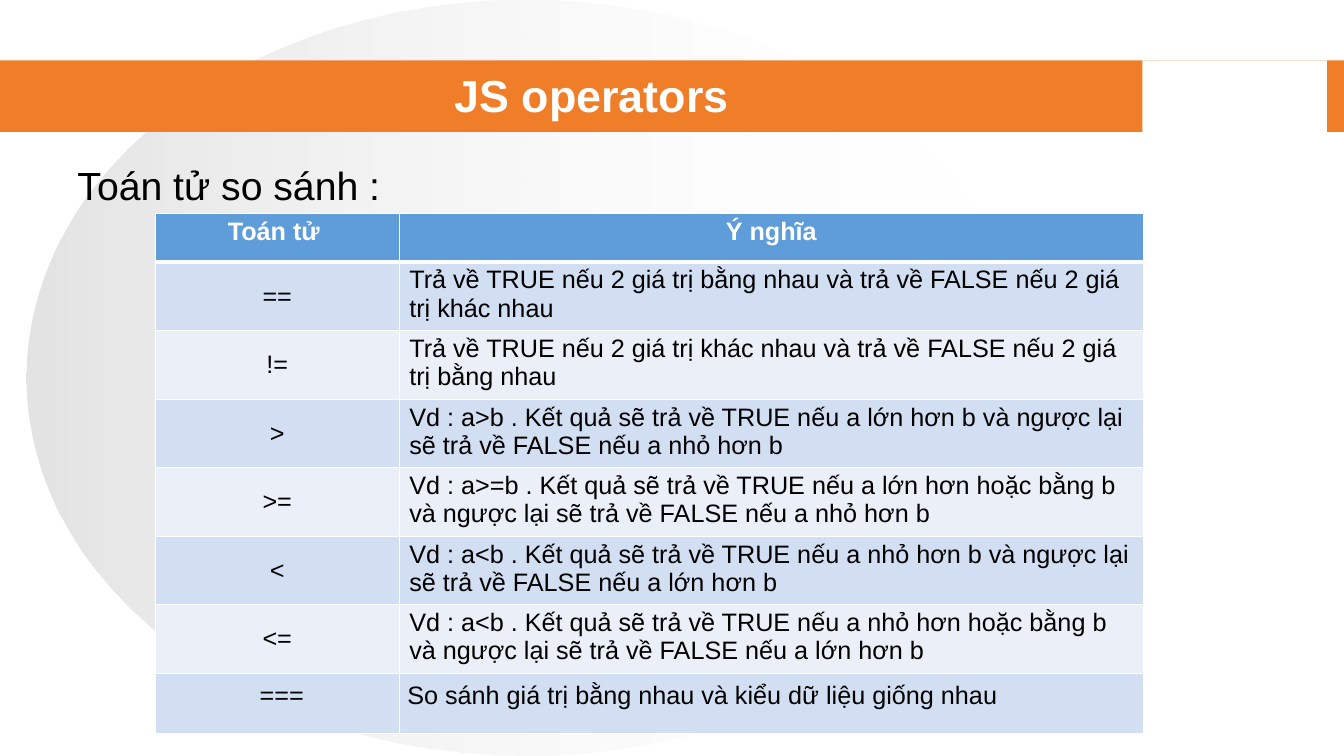
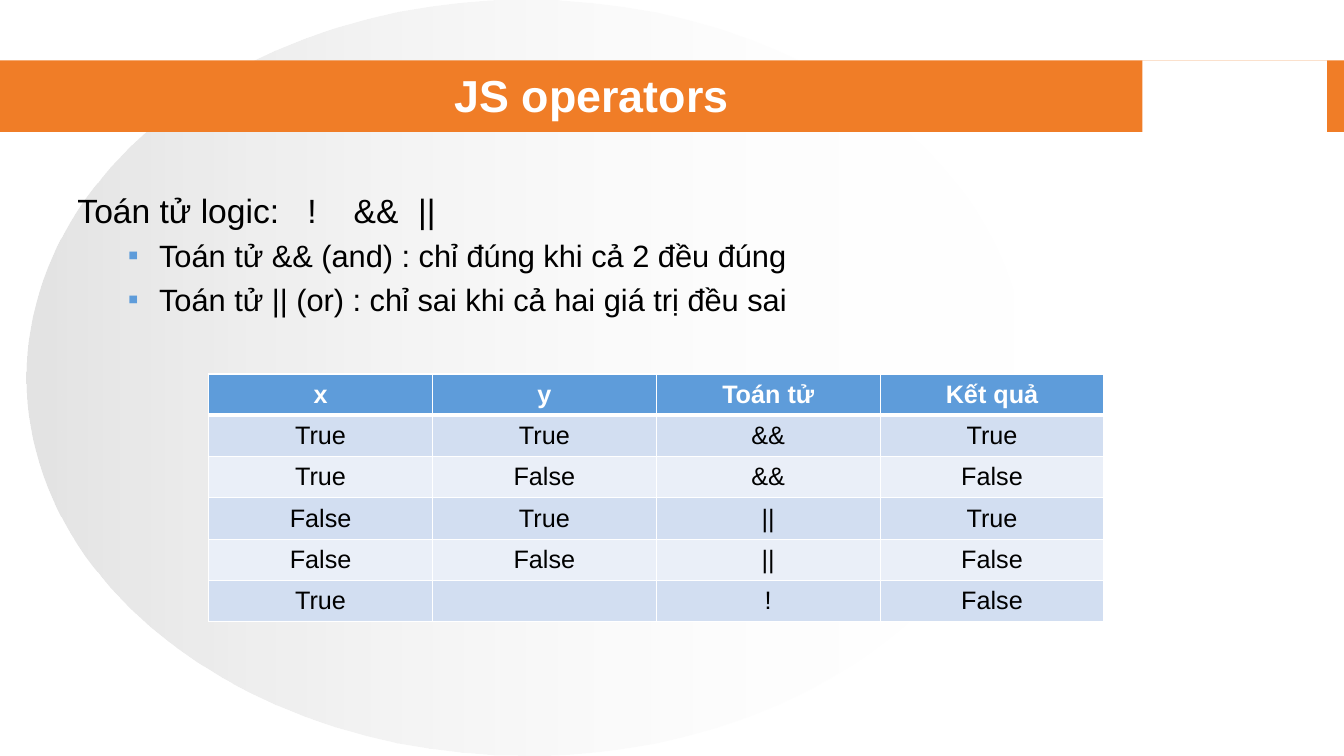
from lxml import etree
from pptx import Presentation
from pptx.dml.color import RGBColor
from pptx.enum.shapes import MSO_SHAPE
from pptx.enum.text import MSO_ANCHOR, MSO_AUTO_SIZE, PP_ALIGN
from pptx.oxml.ns import qn
from pptx.util import Pt

PX = 9144
FONT = "Arial"
WHITE, BLACK, ORANGE = "FFFFFF", "000000", "F07D27"
BLUE, BAND_DARK, BAND_LIGHT = "5E9CDA", "D2DEF1", "EAEFF8"
GREY = "C0C0C0"
OVAL, RECT = MSO_SHAPE.OVAL, MSO_SHAPE.RECTANGLE
LEFT, CENTER = PP_ALIGN.LEFT, PP_ALIGN.CENTER
TOP, MIDDLE = MSO_ANCHOR.TOP, MSO_ANCHOR.MIDDLE
FIT_SHAPE = MSO_AUTO_SIZE.SHAPE_TO_FIT_TEXT

COMPARISONS = [
    ("Toán tử ", "Ý nghĩa"),
    ("==", "Trả về TRUE nếu 2 giá trị bằng nhau và trả về FALSE nếu 2 giá trị khác nhau"),
    ("!=", "Trả về TRUE nếu 2 giá trị khác nhau và trả về FALSE nếu 2 giá trị bằng nhau"),
    (">", "Vd : a>b . Kết quả sẽ trả về TRUE nếu a lớn hơn b và ngược lại sẽ trả về FALSE nếu a nhỏ hơn b"),
    (">=", "Vd : a>=b . Kết quả sẽ trả về TRUE nếu a lớn hơn hoặc bằng b và ngược lại sẽ trả về FALSE nếu a nhỏ hơn b"),
    ("<", "Vd : a<b . Kết quả sẽ trả về TRUE nếu a nhỏ hơn b và ngược lại sẽ trả về FALSE nếu a lớn hơn b"),
    ("<=", "Vd : a<b . Kết quả sẽ trả về TRUE nếu a nhỏ hơn hoặc bằng b và ngược lại sẽ trả về FALSE nếu a lớn hơn b"),
    ("===", "So sánh giá trị bằng nhau và kiểu dữ liệu giống nhau"),
]
TRUTH_TABLE = [
    ("x", "y", "Toán tử", "Kết quả"),
    ("True", "True", "&&", "True"),
    ("True", "False", "&&", "False"),
    ("False", "True", "||", "True"),
    ("False", "False", "||", "False"),
    ("True", "", "!", "False"),
]
LOGIC_RULES = [
    "Toán tử && (and) : chỉ đúng khi cả 2 đều đúng",
    "Toán tử || (or) : chỉ sai khi cả hai giá trị đều sai",
]


def rgb(color):
    """Turn a hex string into a colour."""
    return RGBColor.from_string(color)


def emu(*lengths):
    """Scale px lengths to EMU."""
    return [length * PX for length in lengths]


def add_run(paragraph, text, size, color=BLACK, bold=False):
    """Add one styled run."""
    run = paragraph.add_run()
    run.text = text
    run.font.name = FONT
    run.font.size = Pt(size)
    run.font.bold = bold
    run.font.color.rgb = rgb(color)


def add_block(slide, kind, box, color):
    """Add a flat preset shape without outline."""
    block = slide.shapes.add_shape(kind, *emu(*box))
    block.shadow.inherit = False
    block.line.fill.background()
    block.fill.solid()
    block.fill.fore_color.rgb = rgb(color)
    return block


def add_text_frame(slide, box, wrap=True):
    """Add a text box and return its frame."""
    frame = slide.shapes.add_textbox(*emu(*box)).text_frame
    frame.word_wrap = wrap
    return frame


def add_backdrop(slide):
    """Draw the fading ellipse behind the content."""
    ellipse = add_block(slide, OVAL, (26, 0, 992, 750), WHITE)
    ellipse.fill.gradient()
    ellipse.fill.gradient_angle = 0
    for stop, color in zip(ellipse.fill.gradient_stops, (GREY, WHITE)):
        stop.color.rgb = rgb(color)
    stop_colors = ellipse.fill._xPr.iter(qn("a:srgbClr"))
    for stop_color, opacity in zip(stop_colors, (44, 0)):
        etree.SubElement(stop_color, qn("a:alpha"), val=str(opacity * 1000))


def add_title_band(slide, title):
    """Draw the orange band, its white gap and the title."""
    band_top, band_height = 60, 71
    add_block(slide, RECT, (0, band_top, 1333, band_height), ORANGE)
    add_block(slide, RECT, (1133, band_top, 183, band_height), WHITE)
    frame = add_text_frame(slide, (67, band_top + 7, 1040, 53))
    frame.vertical_anchor = MIDDLE
    heading = frame.paragraphs[0]
    heading.alignment = CENTER
    add_run(heading, title, 32, WHITE, True)


def new_slide(deck, title):
    """Add a blank slide with the shared decoration."""
    slide = deck.slides.add_slide(deck.slide_layouts[6])
    add_backdrop(slide)
    add_title_band(slide, title)
    return slide


def set_borders(cell, bottom):
    """Give a cell white borders, with its own bottom width."""
    properties = cell._tc.get_or_add_tcPr()
    sides = (("lnL", 1), ("lnR", 1), ("lnT", 1), ("lnB", bottom))
    for position, (side, width) in enumerate(sides):
        border = etree.Element(qn("a:" + side), w=str(Pt(width)))
        fill = etree.SubElement(border, qn("a:solidFill"))
        etree.SubElement(fill, qn("a:srgbClr"), val=WHITE)
        properties.insert(position, border)


def fill_cell(cell, text, row, alignment, anchor):
    """Style one cell by its row and write its text."""
    header = row == 0
    cell.fill.solid()
    cell.fill.fore_color.rgb = rgb(BLUE if header else BAND_DARK if row % 2 else BAND_LIGHT)
    set_borders(cell, 3 if header else 1)
    cell.vertical_anchor = anchor
    cell.margin_top = cell.margin_bottom = 4 * PX
    paragraph = cell.text_frame.paragraphs[0]
    paragraph.alignment = alignment
    if text:
        add_run(paragraph, text, 18, WHITE if header else BLACK, header)


def add_grid(slide, left, top, widths, heights, rows, cell_style):
    """Add a banded table; cell_style gives alignment and anchor by row and column."""
    box = emu(left, top, sum(widths), sum(heights))
    table = slide.shapes.add_table(len(rows), len(widths), *box).table
    table.horz_banding = False
    for column, width in zip(table.columns, widths):
        column.width = width * PX
    for r, (height, texts) in enumerate(zip(heights, rows)):
        table.rows[r].height = height * PX
        for c, text in enumerate(texts):
            fill_cell(table.cell(r, c), text, r, *cell_style(r, c))
    return table


def comparison_style(row, column):
    """Centre the header and the operators, and keep meanings at top left."""
    last = len(COMPARISONS) - 1
    alignment = CENTER if row == 0 or column == 0 else LEFT
    return alignment, MIDDLE if column == 0 and 0 < row < last else TOP


def truth_style(row, column):
    """Centre every cell."""
    return CENTER, MIDDLE


def add_operator_line(paragraph):
    """Write the logic operators at tab stops."""
    tabs = etree.SubElement(paragraph._p.get_or_add_pPr(), qn("a:tabLst"))
    for position in emu(228, 274, 338):
        etree.SubElement(tabs, qn("a:tab"), pos=str(position), algn="l")
    add_run(paragraph, "Toán tử logic:\t!\t&&\t||", 24)


def add_bullet(paragraph, text):
    """Write one rule with a blue square bullet."""
    properties = paragraph._p.get_or_add_pPr()
    properties.set("marL", str(81 * PX))
    properties.set("indent", str(-31 * PX))
    color = etree.SubElement(properties, qn("a:buClr"))
    etree.SubElement(color, qn("a:srgbClr"), val=BLUE)
    etree.SubElement(properties, qn("a:buFont"), typeface=FONT)
    etree.SubElement(properties, qn("a:buChar"), char="▪")
    paragraph.space_before = Pt(5)
    add_run(paragraph, text, 22)


def build_comparison_slide(deck):
    """Build the slide on comparison operators."""
    slide = new_slide(deck, "JS operators")
    heights = [48] + [66] * 6 + [60]
    table = add_grid(slide, 154, 212, [242, 738], heights, COMPARISONS, comparison_style)
    for cell, left_margin in zip(table.rows[len(COMPARISONS) - 1].cells, (17, 8)):
        cell.margin_left = left_margin * PX
        cell.margin_top = cell.margin_right = cell.margin_bottom = 8 * PX
    frame = add_text_frame(slide, (67, 155, 324, 57), wrap=False)
    frame.auto_size = FIT_SHAPE
    add_run(frame.paragraphs[0], "Toán tử so sánh :", 28)


def build_logic_slide(deck):
    """Build the slide on logic operators."""
    slide = new_slide(deck, "JS operators")
    frame = add_text_frame(slide, (67, 183, 1206, 508))
    add_operator_line(frame.paragraphs[0])
    for rule in LOGIC_RULES:
        add_bullet(frame.add_paragraph(), rule)
    heights = [41] * len(TRUTH_TABLE)
    add_grid(slide, 207, 371, [222] * 4, heights, TRUTH_TABLE, truth_style)


def main():
    """Build and save the deck."""
    deck = Presentation()
    deck.slide_width, deck.slide_height = emu(1333, 750)
    build_comparison_slide(deck)
    build_logic_slide(deck)
    deck.save("out.pptx")


if __name__ == "__main__":
    main()
